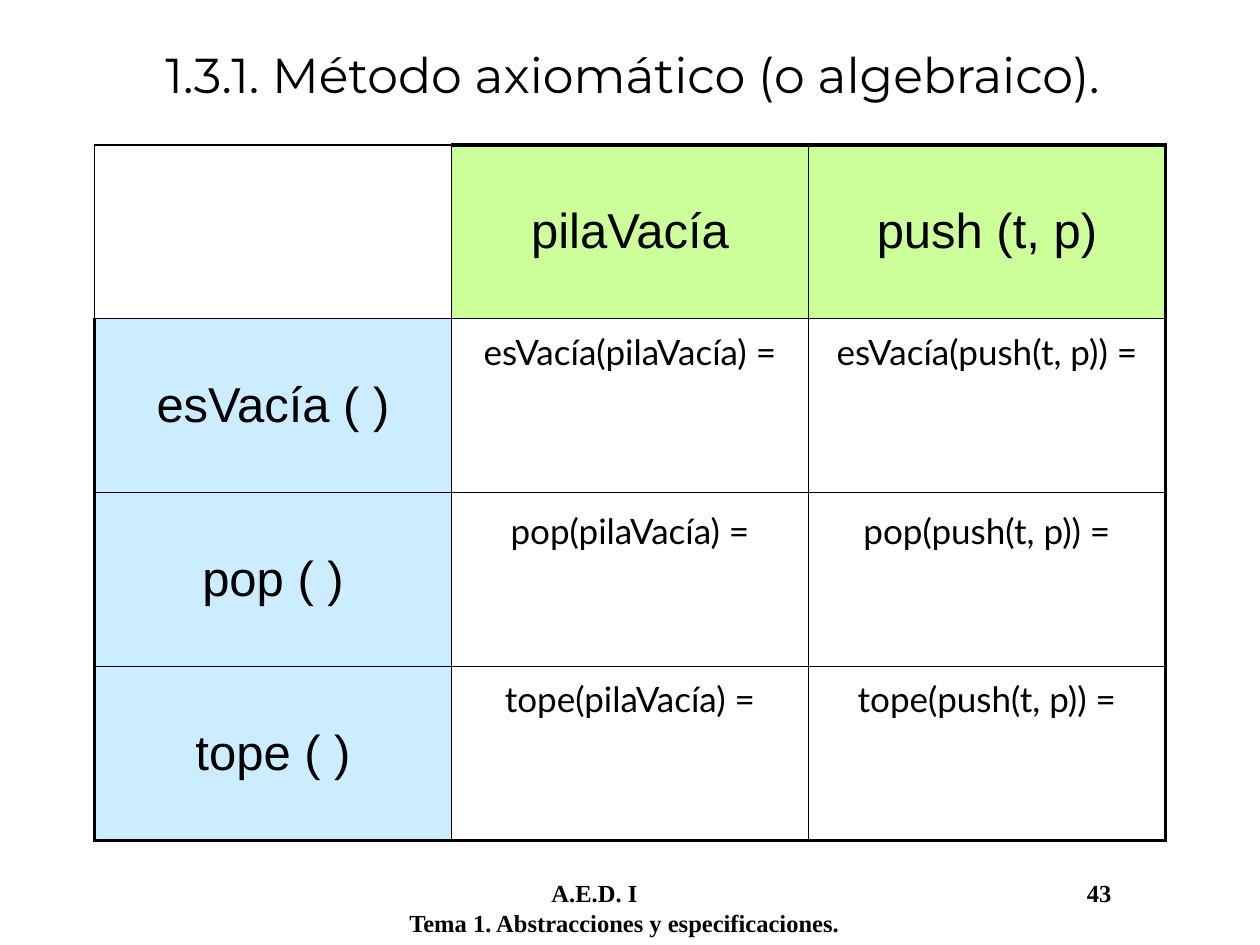
from dataclasses import dataclass

from pptx import Presentation
from pptx.dml.color import RGBColor as Color
from pptx.enum.text import MSO_ANCHOR as Anchor, MSO_AUTO_SIZE as AutoSize, PP_ALIGN as Align
from pptx.oxml.ns import qn
from pptx.util import Inches, Pt
from lxml.etree import SubElement as add_node


@dataclass(frozen=True)
class Theme:
    ink: str = "000000"
    operation_fill: str = "CCECFF"
    constructor_fill: str = "CCFF99"
    title_font: str = "Montserrat"
    label_font: str = "Arial"
    axiom_font: str = "Lato"
    footer_font: str = "Times New Roman"
    heading_size: int = 28
    axiom_size: int = 20
    footer_size: int = 14
    thin: float = 1
    thick: float = 2.25


@dataclass(frozen=True)
class Box:
    left: float
    top: float
    width: float
    height: float

    def inner(self, left, top, width, height):
        return Box(self.left + left * self.width, self.top + top * self.height,
                   width * self.width, height * self.height)

    def percent(self, *shares):
        return self.inner(*(share / 100 for share in shares))

    def cell(self, column, row, columns, rows):
        return self.inner(column / columns, row / rows, 1 / columns, 1 / rows)

    def lengths(self):
        return [Inches(side) for side in (self.left, self.top, self.width, self.height)]


THEME = Theme()
SLIDE = Box(0, 0, 10, 7.5)
CONSTRUCTORS = ["pilaVacía", "push (t, p)"]
OPERATIONS = ["esVacía ( )", "pop ( )", "tope ( )"]
AXIOMS = [
    ["esVacía(pilaVacía) =", "esVacía(push(t, p)) ="],
    ["pop(pilaVacía) =", "pop(push(t, p)) ="],
    ["tope(pilaVacía) =", "tope(push(t, p)) ="],
]
AXIOM_OFFSETS = [0.03, 0.06, 0.03]
COLUMNS, ROWS = len(CONSTRUCTORS) + 1, len(OPERATIONS) + 1


def add_span(para, text, font, size, bold=False):
    span = para.add_run()
    span.text = text
    span.font.name = font
    span.font.size = Pt(size)
    span.font.bold = bold
    span.font.color.rgb = Color.from_string(THEME.ink)


def add_text_frame(page, box):
    frame = page.shapes.add_textbox(*box.lengths()).text_frame
    frame.word_wrap = True
    return frame


def draw_title(page, box):
    frame = add_text_frame(page, box)
    frame.vertical_anchor = Anchor.MIDDLE
    para = frame.paragraphs[0]
    para.alignment = Align.CENTER
    add_span(para, "1.3.1. Método axiomático (o algebraico).", THEME.title_font, THEME.heading_size)


def set_borders(cell, column, row):
    is_corner = column == row == 0
    outer = {"L": column == 0, "R": column == COLUMNS - 1, "T": row == 0, "B": row == ROWS - 1}
    for side, is_outer in outer.items():
        weight = THEME.thick if is_outer and not is_corner else THEME.thin
        line = add_node(cell._tc.get_or_add_tcPr(), qn(f"a:ln{side}"), w=str(Pt(weight)))
        add_node(add_node(line, qn("a:solidFill")), qn("a:srgbClr"), val=THEME.ink)


def label_cell(cell, text, fill):
    cell.fill.solid()
    cell.fill.fore_color.rgb = Color.from_string(fill)
    cell.vertical_anchor = Anchor.MIDDLE
    para = cell.text_frame.paragraphs[0]
    para.alignment = Align.CENTER
    add_span(para, text, THEME.label_font, THEME.heading_size)


def draw_table(page, box):
    table = page.shapes.add_table(ROWS, COLUMNS, *box.lengths()).table
    table.first_row = table.horz_banding = False
    for row in range(ROWS):
        for column in range(COLUMNS):
            cell = table.cell(row, column)
            set_borders(cell, column, row)
            if row == 0 and column > 0:
                label_cell(cell, CONSTRUCTORS[column - 1], THEME.constructor_fill)
            elif column == 0 and row > 0:
                label_cell(cell, OPERATIONS[row - 1], THEME.operation_fill)
            else:
                cell.fill.background()


def draw_axioms(page, box):
    for row, (axioms, offset) in enumerate(zip(AXIOMS, AXIOM_OFFSETS), start=1):
        for column, axiom in enumerate(axioms, start=1):
            area = box.cell(column, row, COLUMNS, ROWS).inner(0, offset, 1, 0.31)
            frame = add_text_frame(page, area)
            frame.auto_size = AutoSize.SHAPE_TO_FIT_TEXT
            para = frame.paragraphs[0]
            para.alignment = Align.CENTER
            add_span(para, axiom, THEME.axiom_font, THEME.axiom_size)


def draw_footer(page, box):
    frame = add_text_frame(page, box)
    course, topic = frame.paragraphs[0], frame.add_paragraph()
    stops = add_node(course._p.get_or_add_pPr(), qn("a:tabLst"))
    for share in (0.17, 0.81):
        add_node(stops, qn("a:tab"), pos=str(Inches(share * box.width)), algn="l")
    for para, text in ((course, "\tA.E.D. I\t43"),
                       (topic, "Tema 1. Abstracciones y especificaciones.")):
        add_span(para, text, THEME.footer_font, THEME.footer_size, bold=True)


def main():
    deck = Presentation()
    deck.slide_width, deck.slide_height = Inches(SLIDE.width), Inches(SLIDE.height)
    page = deck.slides.add_slide(deck.slide_layouts[6])
    grid = SLIDE.percent(7.5, 15.33, 85, 73.6)
    draw_footer(page, SLIDE.percent(31.5, 92.27, 66.4, 5.6))
    draw_title(page, SLIDE.percent(2.7, 2.8, 95, 10.13))
    draw_table(page, grid)
    draw_axioms(page, grid)
    deck.save("out.pptx")


if __name__ == "__main__":
    main()
